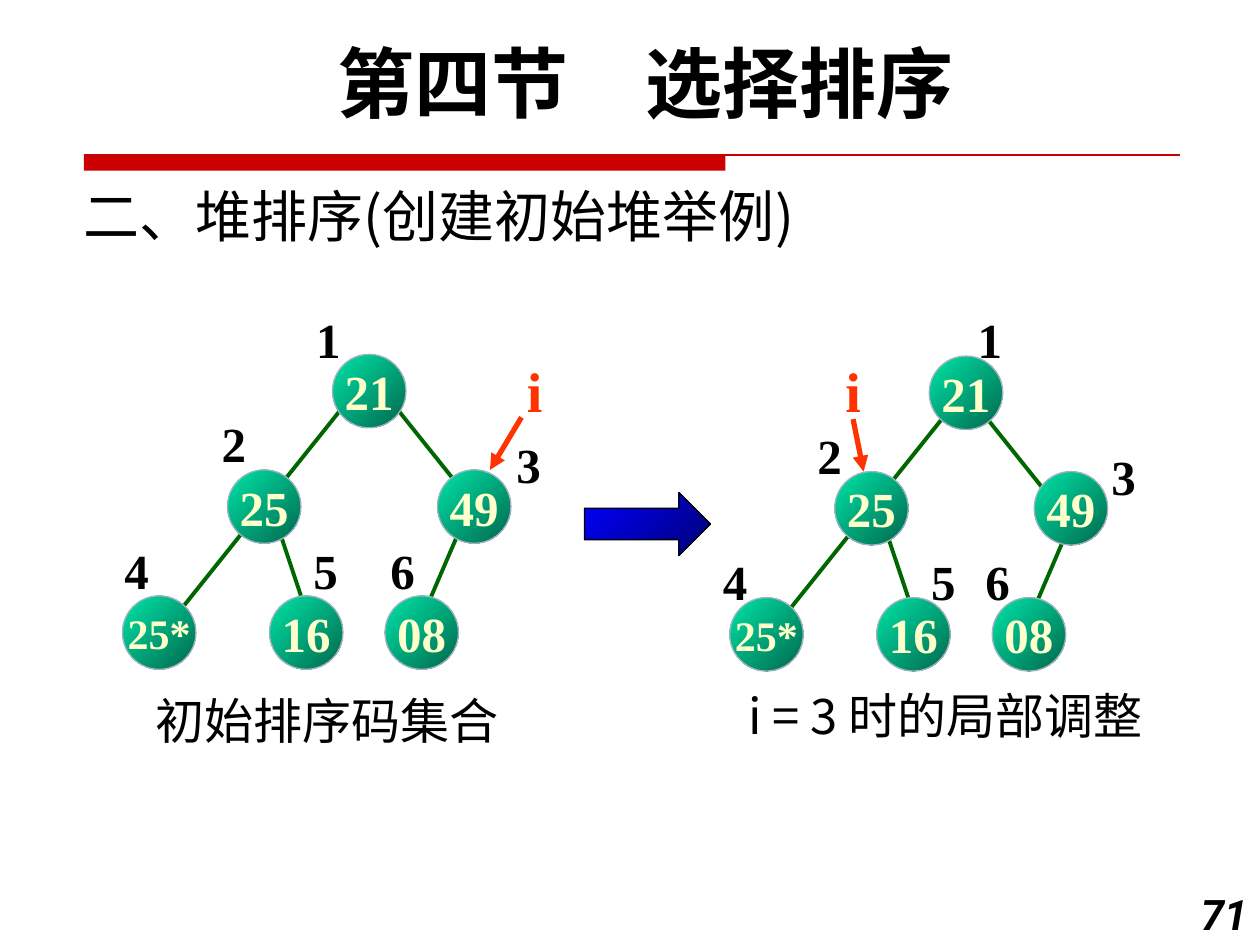
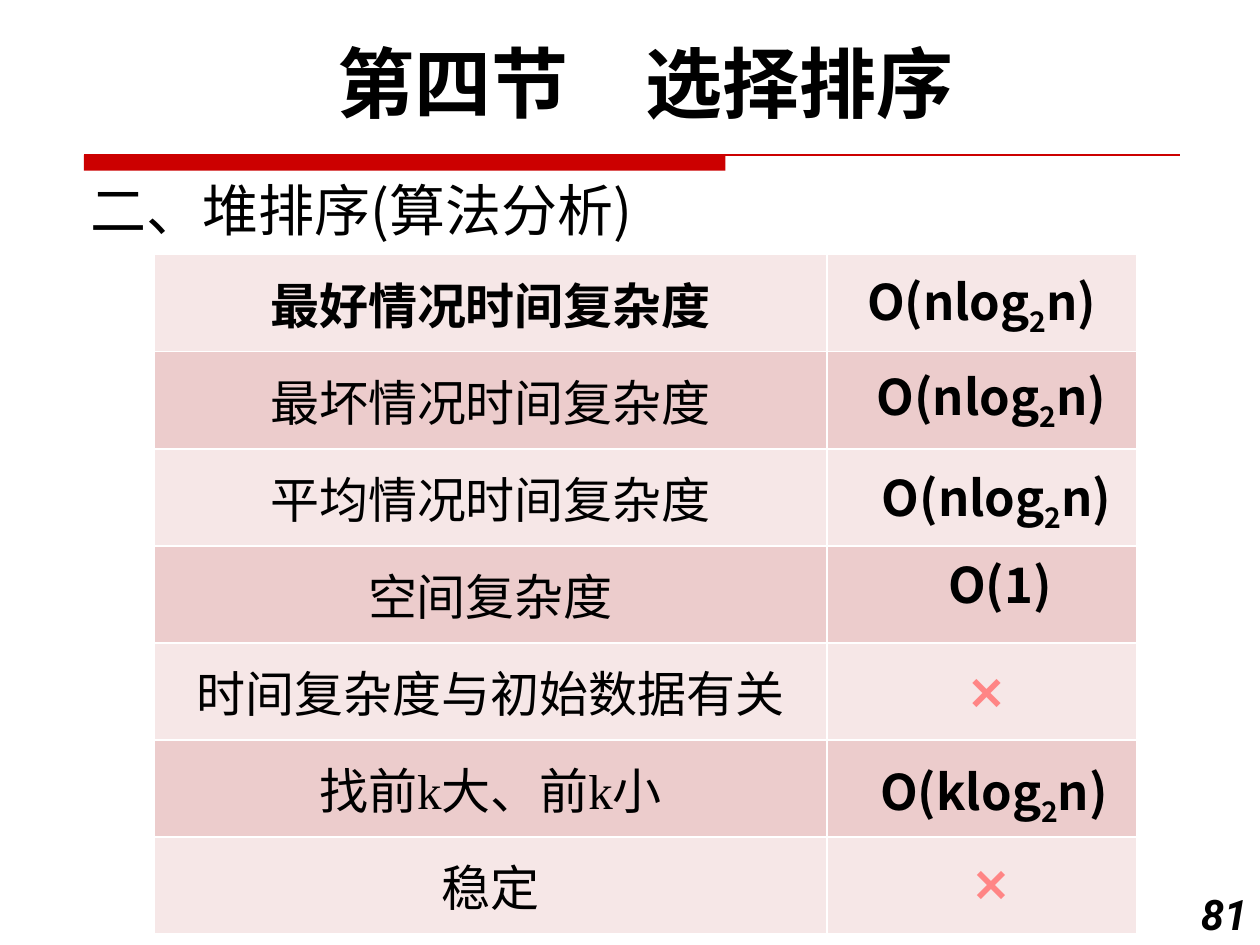
from lxml import etree
from pptx import Presentation
from pptx.dml.color import RGBColor
from pptx.enum.shapes import MSO_CONNECTOR, MSO_SHAPE
from pptx.enum.text import MSO_ANCHOR, PP_ALIGN
from pptx.oxml.ns import qn
from pptx.util import Pt

LEFT, CENTER, RIGHT = PP_ALIGN.LEFT, PP_ALIGN.CENTER, PP_ALIGN.RIGHT
TOP, MIDDLE, BOTTOM = MSO_ANCHOR.TOP, MSO_ANCHOR.MIDDLE, MSO_ANCHOR.BOTTOM
STRAIGHT = MSO_CONNECTOR.STRAIGHT
OVAL, RECTANGLE, RIGHT_ARROW = MSO_SHAPE.OVAL, MSO_SHAPE.RECTANGLE, MSO_SHAPE.RIGHT_ARROW

BLACK = RGBColor(0x00, 0x00, 0x00)
RED = RGBColor(0xCC, 0x00, 0x00)
PINK = RGBColor(0xFF, 0x85, 0x85)
POINTER_ORANGE = RGBColor(0xFF, 0x33, 0x00)
EDGE_GREEN = RGBColor(0x00, 0x66, 0x00)
NODE_LIGHT = RGBColor(0x00, 0xE4, 0xA8)
NODE_DARK = RGBColor(0x00, 0x68, 0x4C)
NODE_LINE = RGBColor(0xA3, 0xB2, 0xC1)
NODE_TEXT = RGBColor(0xFF, 0xFF, 0xCC)
ARROW_LIGHT = RGBColor(0x00, 0x00, 0xFF)
ARROW_DARK = RGBColor(0x00, 0x00, 0x76)
ROW_FILLS = RGBColor(0xF6, 0xE7, 0xE7), RGBColor(0xEC, 0xCC, 0xCC)

SANS, ROBOTO, SERIF = "Noto Sans CJK SC", "Roboto", "Times New Roman"

# Node text -> offset from the tree's corner; nodes in RIGHT_NODES move with right_shift
NODES = {"21": (120, 0), "25": (60, 66), "25*": (0, 138),
         "49": (180, 66), "16": (84, 138), "08": (150, 138)}
RIGHT_NODES = "21", "49"
NODE_SIZE = 42

INITIAL_TREE = {
    "right_shift": 0, "edge_shift": 0,
    "indices": [(103.5, -29), (49.5, 30), (218, 42), (-6, 103), (102, 103), (146, 103)],
    "pointer": (224, -2.5), "pointer_line": (228, 36, 210, 66),
    "caption": "初始排序码集合", "caption_box": (12, 188.5, 212, 41),
}
ADJUSTED_TREE = {
    "right_shift": -6, "edge_shift": -13.5,
    "indices": [(134.5, -30), (43, 36), (211, 48), (-11, 108), (108, 108), (139, 108)],
    "pointer": (59, -3.5), "pointer_line": (70.5, 36, 76.5, 66),
    "caption": "i = 3 时的局部调整", "caption_box": (3.5, 184.5, 269, 41),
}

CRITERIA = ["最好情况时间复杂度", "最坏情况时间复杂度", "平均情况时间复杂度", "空间复杂度",
            "时间复杂度与初始数据有关", "找前k大、前k小", "稳定"]
# Offset from the table's corner, and the parts before, in and after the subscript
COMPLEXITIES = [
    (395.5, 6, ("O(nlog", "2", "n)")),
    (401, 60.5, ("O(nlog", "2", "n)")),
    (404, 118, ("O(nlog", "2", "n)")),
    (406, 168, ("O(1)",)),
    (402.5, 286, ("O(klog", "2", "n)")),
]
CROSSES = [(449.5, 229), (452, 338.5)]


def style(paragraph, size, font_name, color=BLACK, bold=False, italic=False, align=LEFT):
    paragraph.alignment = align
    font = paragraph.font
    font.size, font.name, font.bold, font.italic = Pt(size), font_name, bold, italic
    font.color.rgb = color
    defaults = paragraph._p.pPr.find(qn("a:defRPr"))
    etree.SubElement(defaults, qn("a:ea")).set("typeface", SANS)


def add_text(shapes, box, text, size, font_name, wrap=True, anchor=TOP, **look):
    """Add a text box; a tuple of parts has its second part as a subscript."""
    frame = shapes.add_textbox(*map(Pt, box)).text_frame
    frame.word_wrap, frame.vertical_anchor = wrap, anchor
    paragraph = frame.paragraphs[0]
    parts = (text,) if isinstance(text, str) else text
    for position, part in enumerate(parts):
        run = paragraph.add_run()
        run.text = part
        if position == 1:
            run._r.get_or_add_rPr().set("baseline", "-25000")
    style(paragraph, size, font_name, **look)


def add_line(shapes, ends, color, width, arrow=False):
    line = shapes.add_connector(STRAIGHT, *map(Pt, ends))
    line.line.color.rgb, line.line.width = color, Pt(width)
    properties = line._element.spPr
    if arrow:
        etree.SubElement(properties.find(qn("a:ln")), qn("a:tailEnd")).set("type", "triangle")
    etree.SubElement(properties, qn("a:effectLst"))


def add_gradient_shape(shapes, kind, box, light, dark, line_color):
    shape = shapes.add_shape(kind, *map(Pt, box))
    shape.shadow.inherit = False
    shape.fill.gradient()
    shape.fill.gradient_angle = 315
    for stop, color, position in zip(shape.fill.gradient_stops, (light, dark), (0, 1)):
        stop.color.rgb, stop.position = color, position
    shape.line.color.rgb, shape.line.width = line_color, Pt(0.75)
    return shape


def add_frame(presentation, heading, heading_at, number):
    """Add a slide with the section title, red band, heading and page number."""
    shapes = presentation.slides.add_slide(presentation.slide_layouts[6]).shapes
    band = shapes.add_shape(RECTANGLE, Pt(48), Pt(88.5), Pt(366.5), Pt(9))
    band.shadow.inherit = False
    band.fill.solid()
    band.fill.fore_color.rgb = RED
    band.line.fill.background()
    add_line(shapes, (48, 88.5, 674.5, 88.5), RED, 0.75)
    add_text(shapes, (*heading_at, 450, 54), heading, 32, SANS, anchor=BOTTOM)
    add_text(shapes, (672, 504, 48, 36), number, 24, ROBOTO,
             bold=True, italic=True, align=RIGHT)
    add_text(shapes, (36, 16.5, 666, 60.5), "第四节\u3000选择排序", 44, ROBOTO,
             bold=True, align=CENTER)
    return shapes


def add_node(shapes, left, top, key):
    node = add_gradient_shape(shapes, OVAL, (left, top, NODE_SIZE, NODE_SIZE),
                              NODE_LIGHT, NODE_DARK, NODE_LINE)
    frame = node.text_frame
    frame.word_wrap, frame.vertical_anchor = False, MIDDLE
    frame.text = key
    style(frame.paragraphs[0], 28 if len(key) < 3 else 24, SERIF, NODE_TEXT,
          bold=True, align=CENTER)


def add_tree(slide_shapes, left, top, tree):
    shapes = slide_shapes.add_group_shape().shapes

    def place(x1, y1, x2, y2):
        return left + x1, top + y1, left + x2, top + y2

    shift = tree["edge_shift"]
    edges = [(192, 102, 174, 144), (90, 102, 102, 138),
             (156 + shift, 30, 204 + shift, 90), (126, 30, 30, 150)]
    for edge in edges:
        add_line(shapes, place(*edge), EDGE_GREEN, 2.25)
    for key, (x, y) in NODES.items():
        if key in RIGHT_NODES:
            x += tree["right_shift"]
        add_node(shapes, left + x, top + y, key)
    for index, (x, y) in enumerate(tree["indices"], 1):
        add_text(shapes, (left + x, top + y, 29, 41), str(index), 28, SERIF,
                 wrap=False, bold=True)
    add_line(shapes, place(*tree["pointer_line"]), POINTER_ORANGE, 3, arrow=True)
    x, y = tree["pointer"]
    add_text(shapes, (left + x, top + y, 23, 45.5), "i", 32, SERIF,
             wrap=False, color=POINTER_ORANGE, bold=True)
    x, y, width, height = tree["caption_box"]
    add_text(slide_shapes, (left + x, top + y, width, height), tree["caption"], 28, SANS,
             wrap=False)


def add_analysis_table(shapes, left, top, width, height):
    table = shapes.add_table(len(CRITERIA), 2, Pt(left), Pt(top), Pt(width), Pt(height)).table
    table.columns[0].width, table.columns[1].width = Pt(384.5), Pt(width - 384.5)
    for row, criterion in enumerate(CRITERIA):
        for column in range(2):
            fill = table.cell(row, column).fill
            fill.solid()
            fill.fore_color.rgb = ROW_FILLS[row % 2]
        cell = table.cell(row, 0)
        cell.text, cell.vertical_anchor = criterion, MIDDLE
        style(cell.text_frame.paragraphs[0], 28, SERIF, bold=row == 0, align=CENTER)
    for x, y, complexity in COMPLEXITIES:
        add_text(shapes, (left + x, top + y, 155, 41), complexity, 28, SANS,
                 bold=True, align=CENTER)
    for x, y in CROSSES:
        add_text(shapes, (left + x, top + y, 52.5, 41), "❌", 28, SERIF,
                 wrap=False, color=PINK, bold=True, align=CENTER)


def main():
    presentation = Presentation()
    presentation.slide_width, presentation.slide_height = Pt(720), Pt(540)

    heap_example = add_frame(presentation, "二、堆排序(创建初始堆举例)", (40.5, 91.5), "71")
    add_tree(heap_example, 70, 202.5, INITIAL_TREE)
    add_tree(heap_example, 417, 203.5, ADJUSTED_TREE)
    add_gradient_shape(heap_example, RIGHT_ARROW, (334, 281.5, 72, 36),
                       ARROW_LIGHT, ARROW_DARK, BLACK)

    analysis = add_frame(presentation, "二、堆排序(算法分析)", (44.5, 88.5), "81")
    add_analysis_table(analysis, 88, 145.5, 561.5, 388.5)

    presentation.save("out.pptx")


if __name__ == "__main__":
    main()
